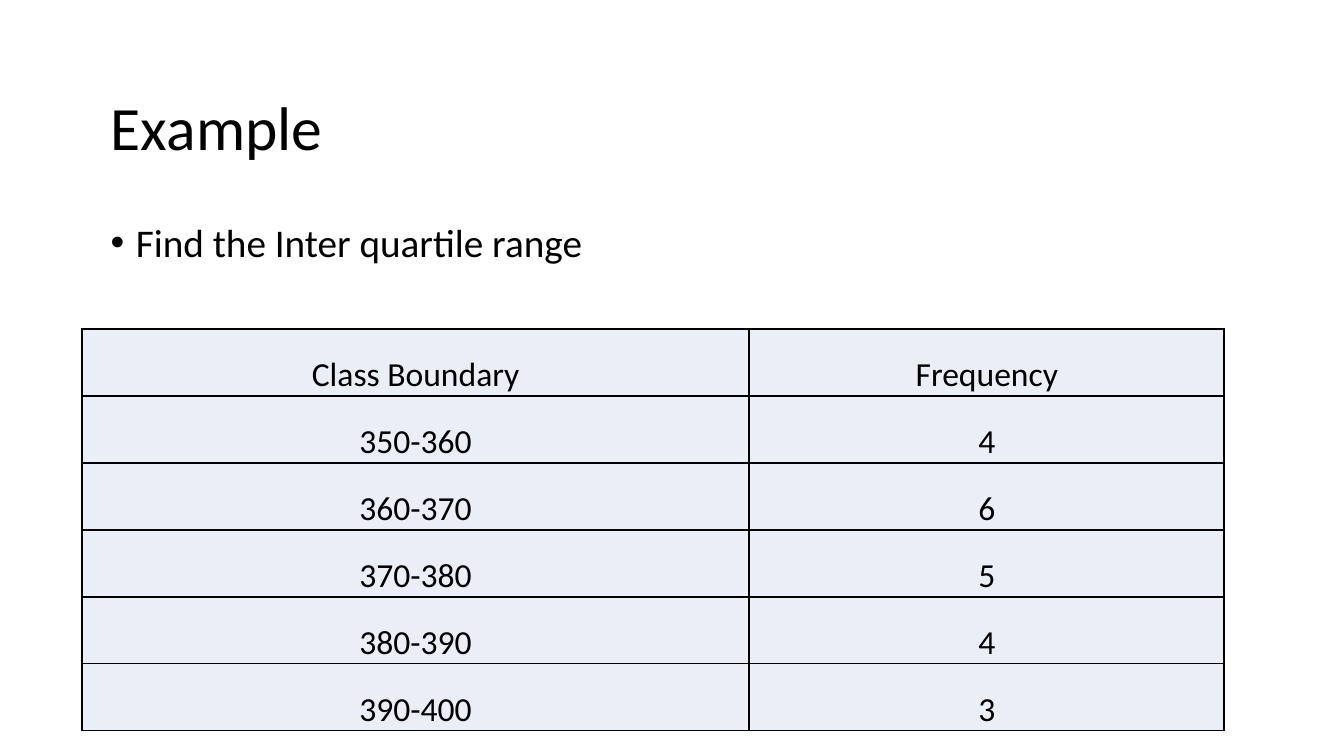
import pptx
import pptx.dml.color
import pptx.enum.text
import pptx.oxml
import pptx.oxml.ns
import pptx.util
from lxml import etree

Pt = pptx.util.Pt
Anchor = pptx.enum.text.MSO_ANCHOR
Align = pptx.enum.text.PP_ALIGN


def color(hex_text):
    return pptx.dml.color.RGBColor.from_string(hex_text)


def add_element(parent, tag, **attributes):
    return etree.SubElement(parent, pptx.oxml.ns.qn(tag), attributes)


class SlideBuilder:
    font_name = "Calibri"
    ink = "000000"
    cell_fill = "EAEFF7"
    border_width = 1.5

    def __init__(self, slide):
        self.slide = slide

    def style(self, paragraph, size, align=Align.LEFT):
        paragraph.alignment = align
        paragraph.font.name = self.font_name
        paragraph.font.size = Pt(size)
        paragraph.font.color.rgb = color(self.ink)

    def title(self, text, left, top, width, height):
        shape = self.slide.shapes.title
        shape.left, shape.top = Pt(left), Pt(top)
        shape.width, shape.height = Pt(width), Pt(height)
        frame = shape.text_frame
        frame.text = text
        frame.word_wrap = True
        frame.vertical_anchor = Anchor.MIDDLE
        paragraph = frame.paragraphs[0]
        paragraph.line_spacing = 0.9
        self.style(paragraph, 44)

    def bullet(self, text, left, top, width, height, indent=18):
        shape = self.slide.shapes.add_textbox(Pt(left), Pt(top), Pt(width), Pt(height))
        frame = shape.text_frame
        frame.word_wrap = True
        paragraph = frame.paragraphs[0]
        paragraph.text = text
        paragraph.line_spacing = 0.9
        properties = paragraph._p.get_or_add_pPr()
        properties.set("marL", str(Pt(indent)))
        properties.set("indent", str(-Pt(indent)))
        add_element(properties, "a:buFont", typeface="Arial")
        add_element(properties, "a:buChar", char="•")
        self.style(paragraph, 28)

    def borders(self, cell):
        properties = cell._tc.get_or_add_tcPr()
        for side in ("a:lnL", "a:lnR", "a:lnT", "a:lnB"):
            line = add_element(properties, side, w=str(Pt(self.border_width)))
            fill = add_element(line, "a:solidFill")
            add_element(fill, "a:srgbClr", val=self.ink)

    def cell(self, cell, text):
        self.borders(cell)
        cell.fill.solid()
        cell.fill.fore_color.rgb = color(self.cell_fill)
        cell.margin_left = cell.margin_right = Pt(1.4)
        cell.margin_top, cell.margin_bottom = Pt(0.7), Pt(0)
        cell.vertical_anchor = Anchor.BOTTOM
        cell.text = text
        self.style(cell.text_frame.paragraphs[0], 24, Align.CENTER)

    def table(self, rows, left, top, widths, row_height):
        table = self.slide.shapes.add_table(
            len(rows), len(widths), Pt(left), Pt(top),
            Pt(sum(widths)), Pt(row_height * len(rows))).table
        table.first_row = table.horz_banding = False
        for column, width in zip(table.columns, widths):
            column.width = Pt(width)
        for row, texts in zip(table.rows, rows):
            row.height = Pt(row_height)
            for cell, text in zip(row.cells, texts):
                self.cell(cell, text)


def main():
    presentation = pptx.Presentation()
    presentation.slide_width, presentation.slide_height = Pt(960), Pt(540)
    slide = presentation.slides.add_slide(presentation.slide_layouts[5])
    builder = SlideBuilder(slide)

    # Heading and task
    builder.title("Example", 72, 48, 816, 90)
    builder.bullet("Find the Inter quartile range", 72, 156, 816, 79)

    # Frequency table: ten-wide classes from 350
    frequencies = (4, 6, 5, 4, 3)
    rows = [("Class Boundary", "Frequency")]
    for index, frequency in enumerate(frequencies):
        lower = 350 + 10 * index
        rows.append((f"{lower}-{lower + 10}", str(frequency)))
    builder.table(rows, 58.5, 235, (476.8, 339.2), 47.8)

    presentation.save("out.pptx")


if __name__ == "__main__":
    main()
